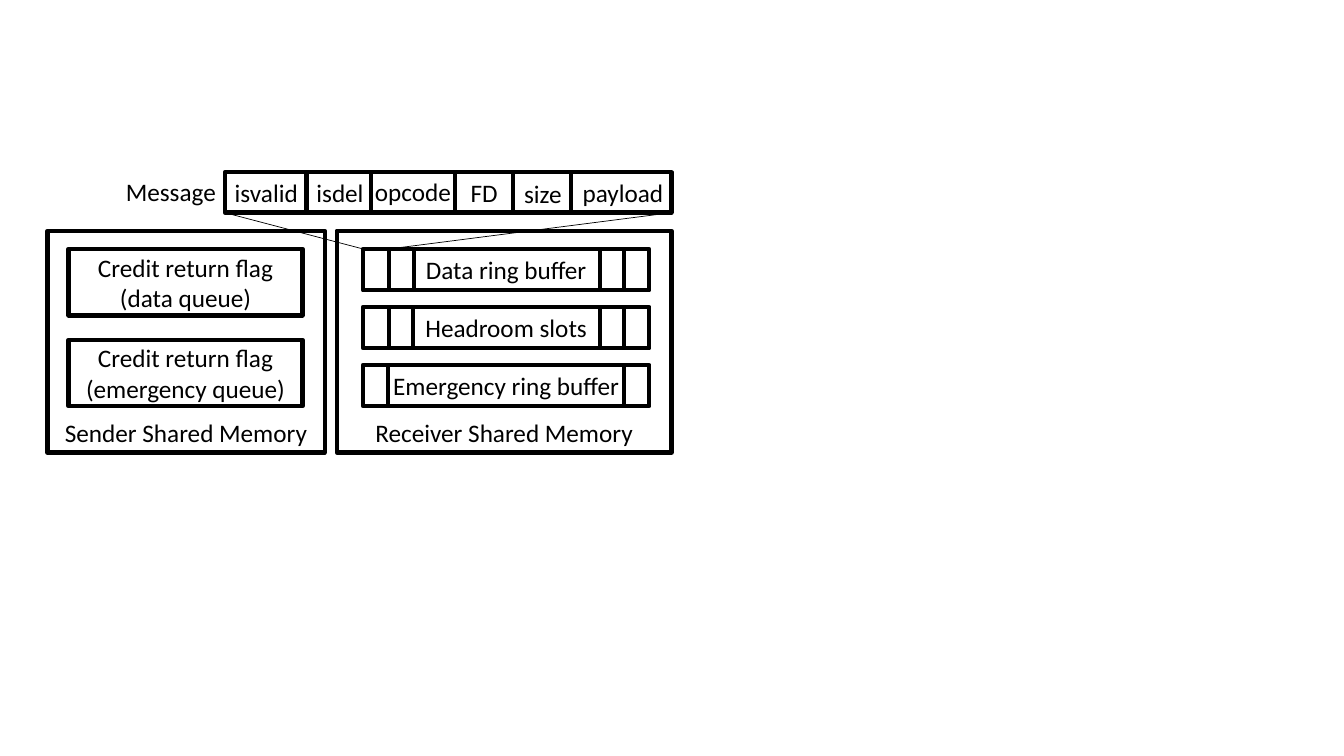
from lxml.etree import SubElement
from pptx import Presentation
from pptx.dml.color import RGBColor
from pptx.enum.shapes import MSO_CONNECTOR as Connector, MSO_SHAPE as Shape
from pptx.enum.text import MSO_ANCHOR as Anchor, PP_ALIGN as Align
from pptx.oxml.ns import qn
from pptx.util import Inches, Pt

BLACK = RGBColor(0, 0, 0)
WHITE = RGBColor(255, 255, 255)
FONT = "Calibri"
THICK, THIN = 3, 0.5

MEMORIES = [
    ("Receiver Shared Memory", 3.34, 3.32),
    ("Sender Shared Memory", 0.47, 2.75),
]
MEMORY_TOP, MEMORY_HEIGHT = 2.29, 2.2

FLAGS = ["Credit return flag (data queue)", "Credit return flag (emergency queue)"]
FLAG_LEFT, FLAG_WIDTH, FLAG_HEIGHT, FLAG_PITCH = 0.68, 2.32, 0.66, 0.9

BUFFERS = [
    ("Data ring buffer", [3.86, 4.11, 5.95, 6.19]),
    ("Headroom slots", [3.86, 4.1, 5.95, 6.19]),
    ("Emergency ring buffer", [3.85, 6.19]),
]
BUFFER_LEFT, BUFFER_WIDTH, BUFFER_HEIGHT, BUFFER_PITCH = 3.6, 2.84, 0.41, 0.575
CONTENT_TOP = 2.47

MESSAGE_LEFT, MESSAGE_TOP, MESSAGE_WIDTH, MESSAGE_HEIGHT = 2.23, 1.71, 4.43, 0.4
FIELD_DIVIDERS = [3.04, 3.68, 4.51, 5.09, 5.66]
FIELDS = [
    ("isvalid", 2.23, 1.71, 1.2),
    ("isdel", 3.04, 1.71, 1.2),
    ("opcode", 3.62, 1.7, 1.2),
    ("FD", 4.57, 1.71, 0.67),
    ("size", 5.1, 1.72, 0.67),
    ("payload", 5.68, 1.71, 1.2),
]
MESSAGE_LABEL = ("Message", 1.15, 1.7, 1.1)

presentation = Presentation()
presentation.slide_width = Inches(13.33)
presentation.slide_height = Inches(7.5)
slide = presentation.slides.add_slide(presentation.slide_layouts[6])


def write(shape, text, align, anchor, wrap=True):
    frame = shape.text_frame
    frame.text = text
    frame.word_wrap = wrap
    frame.vertical_anchor = anchor
    paragraph = frame.paragraphs[0]
    paragraph.alignment = align
    for run in paragraph.runs:
        run.font.name = FONT
        run.font.size = Pt(18)
        run.font.color.rgb = BLACK


def add_box(left, top, width, height, text="", anchor=Anchor.MIDDLE):
    box = slide.shapes.add_shape(
        Shape.RECTANGLE, Inches(left), Inches(top), Inches(width), Inches(height))
    box.shadow.inherit = False
    box.fill.solid()
    box.fill.fore_color.rgb = WHITE
    box.line.color.rgb = BLACK
    box.line.width = Pt(THICK)
    if text:
        write(box, text, Align.CENTER, anchor)


def add_label(text, left, top, width, wrap=True):
    label = slide.shapes.add_textbox(
        Inches(left), Inches(top), Inches(width), Inches(0.4))
    write(label, text, Align.LEFT, Anchor.TOP, wrap)


def add_line(x1, y1, x2, y2, weight=THICK):
    line = slide.shapes.add_connector(
        Connector.STRAIGHT, Inches(x1), Inches(y1), Inches(x2), Inches(y2))
    line.line.color.rgb = BLACK
    line.line.width = Pt(weight)
    SubElement(line._element.spPr, qn("a:effectLst"))


for name, left, width in MEMORIES:
    add_box(left, MEMORY_TOP, width, MEMORY_HEIGHT, name, Anchor.BOTTOM)

for row, flag in enumerate(FLAGS):
    add_box(FLAG_LEFT, CONTENT_TOP + row * FLAG_PITCH, FLAG_WIDTH, FLAG_HEIGHT, flag)

for row, (name, dividers) in enumerate(BUFFERS):
    top = CONTENT_TOP + row * BUFFER_PITCH
    add_box(BUFFER_LEFT, top, BUFFER_WIDTH, BUFFER_HEIGHT, name)
    for x in dividers:
        add_line(x, top, x, top + BUFFER_HEIGHT)

add_box(MESSAGE_LEFT, MESSAGE_TOP, MESSAGE_WIDTH, MESSAGE_HEIGHT)
message_bottom = MESSAGE_TOP + MESSAGE_HEIGHT
for x in FIELD_DIVIDERS:
    add_line(x, MESSAGE_TOP, x, message_bottom + 0.01)
for field in FIELDS:
    add_label(*field)
add_label(*MESSAGE_LABEL, wrap=False)

first_slot_right = BUFFERS[0][1][0]
add_line(MESSAGE_LEFT, message_bottom, BUFFER_LEFT, CONTENT_TOP, THIN)
add_line(first_slot_right, CONTENT_TOP, MESSAGE_LEFT + MESSAGE_WIDTH, message_bottom, THIN)

presentation.save("out.pptx")
